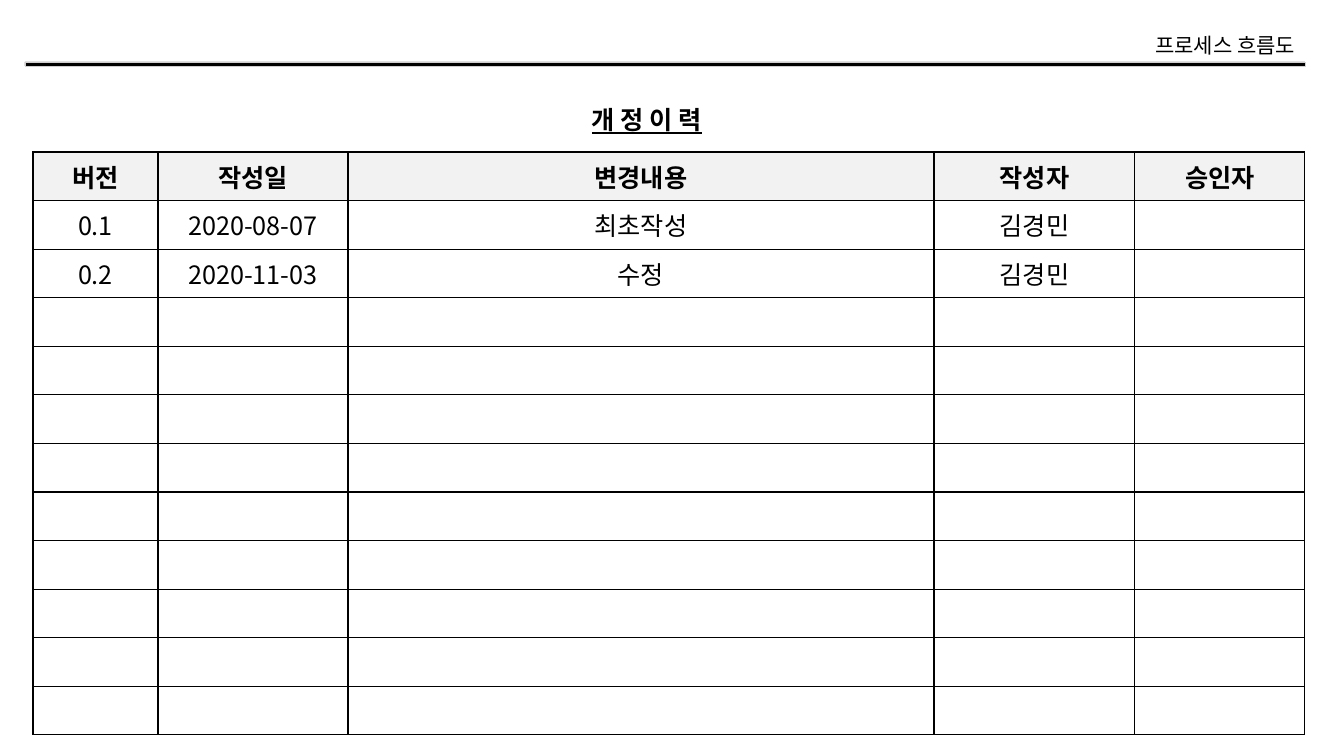
from lxml.etree import SubElement
from pptx import Presentation
from pptx.dml.color import RGBColor
from pptx.enum.shapes import MSO_SHAPE as SHAPE
from pptx.enum.text import MSO_ANCHOR as ANCHOR, PP_ALIGN as ALIGN
from pptx.oxml.ns import qn
from pptx.util import Inches, Pt

BLACK = RGBColor(0x00, 0x00, 0x00)
WHITE = RGBColor(0xFF, 0xFF, 0xFF)
HEADER_GRAY = RGBColor(0xF2, 0xF2, 0xF2)
EDGE_GRAY = RGBColor(0xD0, 0xCE, 0xCE)

COLUMN_WIDTHS = [125, 190, 586, 201, 170]
ROW_COUNT = 12
HISTORY = [
    ["버전", "작성일", "변경내용", "작성자", "승인자"],
    ["0.1", "2020-08-07", "최초작성", "김경민", ""],
    ["0.2", "2020-11-03", "수정", "김경민", ""],
]


def px(n):
    return Inches(n / 100.8)


def write(tf, text, size=18, font="Noto Sans CJK KR", color=BLACK,
          bold=False, underline=False, align=ALIGN.LEFT):
    p = tf.paragraphs[0]
    p.alignment = align
    r = p.add_run()
    r.text = text
    f = r.font
    f.size, f.name, f.bold, f.underline = Pt(size), font, bold, underline
    f.color.rgb = color
    # East Asian typeface for Hangul
    SubElement(r._r.get_or_add_rPr(), qn("a:ea"), typeface=font)


class SlideBuilder:
    def __init__(self, slide, border_width=1):
        self.slide = slide
        self.border_width = border_width

    def bar(self, x, y, w, h):
        sp = self.slide.shapes.add_shape(SHAPE.RECTANGLE, px(x), px(y), px(w), px(h))
        sp.shadow.inherit = False
        sp.fill.solid()
        sp.fill.fore_color.rgb = BLACK
        sp.line.color.rgb = EDGE_GRAY
        sp.line.width = Pt(0.3)

    def text(self, x, y, w, h, text, **style):
        tf = self.slide.shapes.add_textbox(px(x), px(y), px(w), px(h)).text_frame
        tf.word_wrap = True
        write(tf, text, **style)

    def border(self, cell):
        tc_pr = cell._tc.get_or_add_tcPr()
        for i, side in enumerate(("lnL", "lnR", "lnT", "lnB")):
            ln = tc_pr.makeelement(qn(f"a:{side}"), {"w": str(Pt(self.border_width))})
            fill = SubElement(ln, qn("a:solidFill"))
            SubElement(fill, qn("a:srgbClr"), val=str(BLACK))
            tc_pr.insert(i, ln)

    def table(self, x, y, h, widths, row_count, rows):
        table = self.slide.shapes.add_table(
            row_count, len(widths), px(x), px(y), px(sum(widths)), px(h)).table
        for column, width in zip(table.columns, widths):
            column.width = px(width)
        for i, row in enumerate(table.rows):
            row.height = px(h) // row_count
            for j, cell in enumerate(row.cells):
                cell.vertical_anchor = ANCHOR.MIDDLE
                cell.fill.solid()
                cell.fill.fore_color.rgb = WHITE if i else HEADER_GRAY
                self.border(cell)
                if i < len(rows) and rows[i][j]:
                    write(cell.text_frame, rows[i][j], bold=i == 0, align=ALIGN.CENTER)


def main():
    prs = Presentation()
    prs.slide_width, prs.slide_height = px(1344), px(756)
    s = SlideBuilder(prs.slides.add_slide(prs.slide_layouts[6]))

    # Page header
    s.bar(25, 62, 1280, 4)
    s.text(1129, 28, 176, 35, "프로세스 흐름도", size=15, align=ALIGN.RIGHT)

    # Revision history
    s.text(582, 99, 168, 40, "개 정 이 력", bold=True, underline=True)
    s.table(33, 152, 583, COLUMN_WIDTHS, ROW_COUNT, HISTORY)

    prs.save("out.pptx")


if __name__ == "__main__":
    main()
